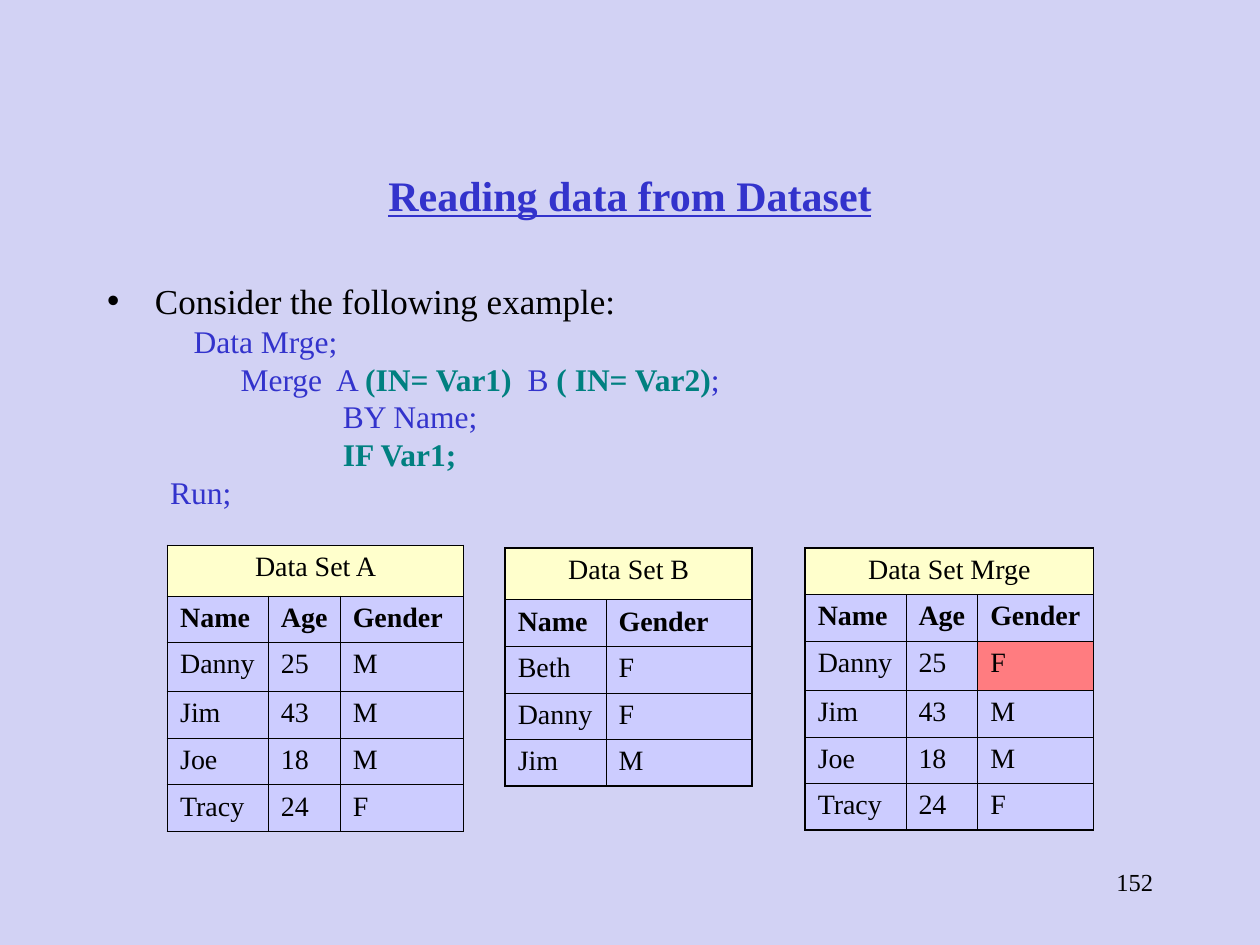
from dataclasses import dataclass

from lxml.etree import SubElement
from pptx import Presentation
from pptx.dml.color import RGBColor
from pptx.enum.text import MSO_ANCHOR, MSO_AUTO_SIZE, PP_ALIGN
from pptx.oxml.ns import qn
from pptx.util import Pt

PX = 9144


@dataclass(frozen=True)
class Theme:
    font: str = "Times New Roman"
    background: str = "D2D2F4"
    ink: str = "000000"
    accent: str = "3333CC"
    keyword: str = "008080"
    caption_fill: str = "FFFFCC"
    cell_fill: str = "CCCCFF"
    marked_fill: str = "FF7C80"
    title_size: int = 24
    bullet_size: int = 20
    code_size: int = 18
    table_size: int = 16
    number_size: int = 14
    outer_line: float = 1.08
    inner_line: float = 0.45


def rgb(color):
    return RGBColor.from_string(color)


class Deck:
    def __init__(self, theme, width, height):
        self.theme = theme
        self.prs = Presentation()
        self.prs.slide_width, self.prs.slide_height = width * PX, height * PX
        self.s = None

    def add_slide(self):
        self.s = self.prs.slides.add_slide(self.prs.slide_layouts[1])
        fill = self.s.background.fill
        fill.solid()
        fill.fore_color.rgb = rgb(self.theme.background)

    def place(self, sp, box):
        sp.left, sp.top, sp.width, sp.height = (v * PX for v in box)

    def run(self, p, text, size, color, bold=False, underline=False):
        r = p.add_run()
        r.text = text
        r.font.name = self.theme.font
        r.font.size = Pt(size)
        r.font.bold = bold
        r.font.underline = underline
        r.font.color.rgb = rgb(color)

    def title(self, text, box):
        sp = self.s.shapes.title
        self.place(sp, box)
        tf = sp.text_frame
        tf.auto_size = MSO_AUTO_SIZE.NONE
        tf.vertical_anchor = MSO_ANCHOR.MIDDLE
        p = tf.paragraphs[0]
        p.alignment = PP_ALIGN.CENTER
        self.run(p, text, self.theme.title_size, self.theme.accent, True, True)

    def indent(self, p, left, hanging=0):
        pPr = p._p.get_or_add_pPr()
        pPr.set("marL", str(left * PX))
        pPr.set("indent", str(-hanging * PX))
        p.space_before = Pt(0)
        return pPr

    def body(self, bullet, code, box):
        th = self.theme
        sp = self.s.placeholders[1]
        self.place(sp, box)
        tf = sp.text_frame
        tf.auto_size = MSO_AUTO_SIZE.NONE
        p = tf.paragraphs[0]
        pPr = self.indent(p, 38, 38)
        SubElement(SubElement(pPr, qn("a:buClr")), qn("a:srgbClr"), val=th.ink)
        SubElement(pPr, qn("a:buChar"), char="•")
        self.run(p, bullet, th.bullet_size, th.ink)
        for left, line in code:
            p = tf.add_paragraph()
            p.level = 1
            SubElement(self.indent(p, left), qn("a:buNone"))
            for text, strong in line:
                self.run(p, text, th.code_size, th.keyword if strong else th.accent, strong)

    def borders(self, cell, outer):
        tcPr = cell._tc.get_or_add_tcPr()
        for side in "LRTB":
            width = self.theme.outer_line if side in outer else self.theme.inner_line
            ln = SubElement(tcPr, qn(f"a:ln{side}"), w=str(Pt(width)))
            SubElement(SubElement(ln, qn("a:solidFill")), qn("a:srgbClr"), val=self.theme.ink)

    def table(self, caption, rows, left, top, widths, heights, marked=()):
        th = self.theme
        nrows, ncols = len(heights), len(widths)
        tbl = self.s.shapes.add_table(nrows, ncols, left * PX, top * PX,
                                      sum(widths) * PX, sum(heights) * PX).table
        tbl.first_row = tbl.horz_banding = False
        for col, width in zip(tbl.columns, widths):
            col.width = width * PX
        for row, height in zip(tbl.rows, heights):
            row.height = height * PX
        tbl.cell(0, 0).merge(tbl.cell(0, ncols - 1))
        for i, row in enumerate([[caption] + [""] * (ncols - 1)] + rows):
            for j, text in enumerate(row):
                cell = tbl.cell(i, j)
                edges = {"L": j == 0, "R": j == ncols - 1 or i == 0,
                         "T": i == 0, "B": i == nrows - 1}
                self.borders(cell, [side for side, on in edges.items() if on])
                fill = th.marked_fill if (i, j) in marked else th.cell_fill
                cell.fill.solid()
                cell.fill.fore_color.rgb = rgb(th.caption_fill if i == 0 else fill)
                if text:
                    p = cell.text_frame.paragraphs[0]
                    p.alignment = PP_ALIGN.CENTER if i == 0 else PP_ALIGN.LEFT
                    self.run(p, text, th.table_size, th.ink, i == 1)

    def page_number(self, text, box):
        tf = self.s.shapes.add_textbox(*(v * PX for v in box)).text_frame
        tf.word_wrap = True
        p = tf.paragraphs[0]
        p.alignment = PP_ALIGN.RIGHT
        self.run(p, text, self.theme.number_size, self.theme.ink)


CODE = [
    (50, [("   Data Mrge;", False)]),
    (81, [("    Merge  A ", False), ("(IN= Var1)", True), ("  B ", False),
          ("( IN= Var2)", True), (";", False)]),
    (181, [(" BY Name;", False)]),
    (181, [(" IF Var1;", True)]),
    (50, [("Run;", False)]),
]
HEADER = ["Name", "Age", "Gender"]
PEOPLE = [("Danny", "25"), ("Jim", "43"), ("Joe", "18"), ("Tracy", "24")]


def with_gender(genders):
    return [HEADER] + [[*person, gender] for person, gender in zip(PEOPLE, genders)]


def main():
    deck = Deck(Theme(), 1000, 750)
    deck.add_slide()
    deck.page_number("152", (717, 683, 208, 50))
    deck.title("Reading data from Dataset", (75, 117, 850, 75))
    deck.body("Consider the following example:", CODE, (75, 217, 850, 450))
    deck.table("Data Set A", with_gender("MMMF"), 133, 433,
               [80, 57, 98], [40, 37, 39, 37, 37, 37])
    deck.table("Data Set B",
               [["Name", "Gender"], ["Beth", "F"], ["Danny", "F"], ["Jim", "M"]],
               401, 435, [80, 116], [41, 37, 37, 37, 37])
    deck.table("Data Set Mrge", with_gender("FMMF"), 639, 435,
               [80, 57, 92], [37, 37, 39, 37, 37, 37], marked={(2, 2)})
    deck.prs.save("out.pptx")


if __name__ == "__main__":
    main()
